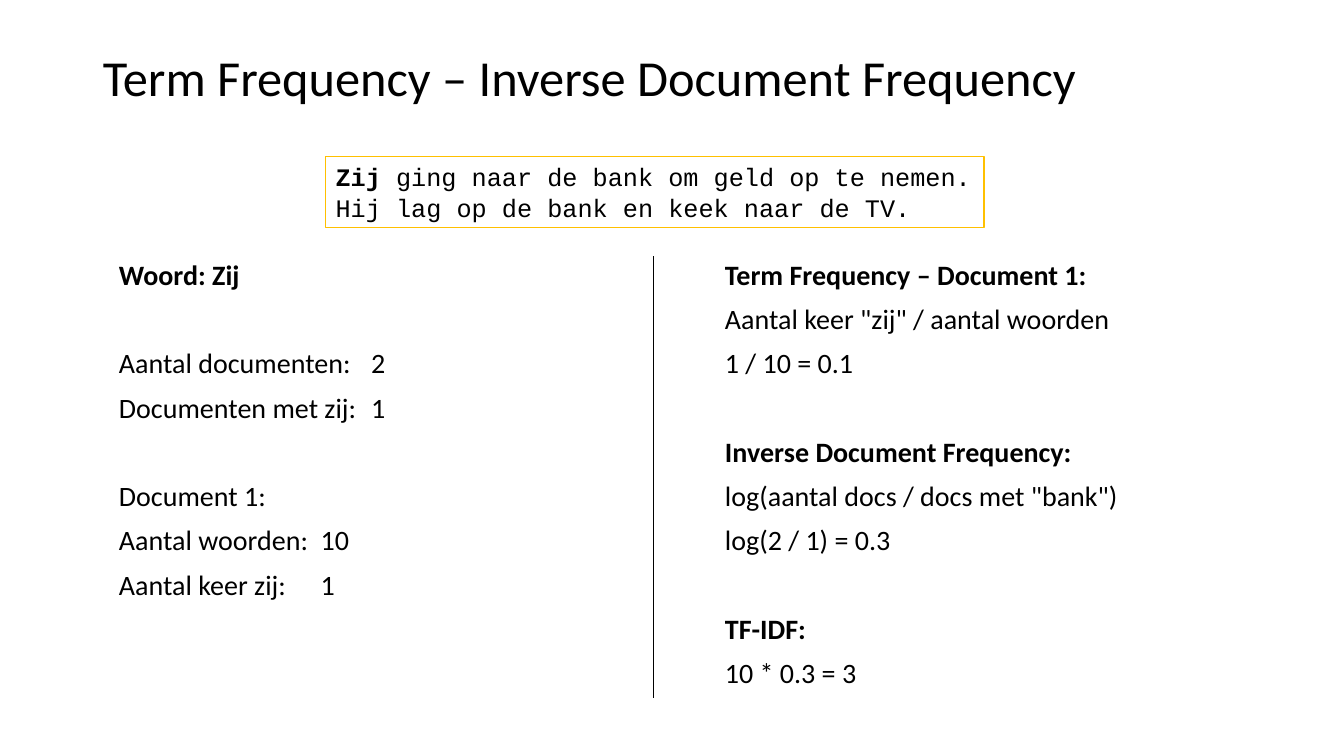
"""Build the slide that works out TF-IDF for one word in two short documents."""
from lxml.etree import SubElement
from pptx import Presentation
from pptx.dml.color import RGBColor
from pptx.enum.shapes import MSO_CONNECTOR, MSO_SHAPE
from pptx.enum.text import MSO_ANCHOR, MSO_AUTO_SIZE, PP_ALIGN
from pptx.oxml.ns import qn
from pptx.util import Inches, Pt

BLACK = RGBColor(0x00, 0x00, 0x00)
WHITE = RGBColor(0xFF, 0xFF, 0xFF)
AMBER = RGBColor(0xFF, 0xC0, 0x00)

LINE_GAP = 10
SECTION_GAP = 41.6
COLUMN_TOP, COLUMN_HEIGHT = 2.54, 4.39
NUMBER_TAB = 4.27

COUNTS = [
    ["Woord: Zij"],
    ["Aantal documenten:\t2", "Documenten met zij:\t1"],
    ["Document 1:", "Aantal woorden:\t10", "Aantal keer zij:\t1"],
]
FORMULAS = [
    ["Term Frequency – Document 1:", 'Aantal keer "zij" / aantal woorden', "1 / 10 = 0.1"],
    ["Inverse Document Frequency:", 'log(aantal docs / docs met "bank")', "log(2 / 1) = 0.3"],
    ["TF-IDF:", "10 * 0.3 = 3"],
]
HEADINGS = {"Woord: Zij"} | {section[0] for section in FORMULAS}
DOCUMENTS = [
    [("Zij ", True), ("ging naar de bank om geld op te nemen.", False)],
    [("Hij lag op de bank en keek naar de TV.", False)],
]


def add_run(paragraph, text, size, font_name="Calibri", bold=False):
    run = paragraph.add_run()
    run.text = text
    run.font.size = Pt(size)
    run.font.name = font_name
    run.font.bold = bold
    run.font.color.rgb = BLACK


def place(part, left, top, width, height):
    part.left, part.top = Inches(left), Inches(top)
    part.width, part.height = Inches(width), Inches(height)


prs = Presentation()
prs.slide_width, prs.slide_height = Inches(13.33), Inches(7.5)
slide = prs.slides.add_slide(prs.slide_layouts[3])
title, counts_column, formulas_column = slide.placeholders

place(title, 0.92, 0.4, 11.5, 0.79)
title.text_frame.vertical_anchor = MSO_ANCHOR.MIDDLE
heading = title.text_frame.paragraphs[0]
heading.alignment = PP_ALIGN.LEFT
heading.line_spacing = 0.9
add_run(heading, "Term Frequency – Inverse Document Frequency", 36)

for column, left, width, sections in (
    (counts_column, 1.08, 5.16, COUNTS),
    (formulas_column, 7.09, 5.58, FORMULAS),
):
    place(column, left, COLUMN_TOP, width, COLUMN_HEIGHT)
    frame = column.text_frame
    frame.auto_size = MSO_AUTO_SIZE.NONE
    for section_no, section in enumerate(sections):
        for line_no, text in enumerate(section):
            first = section_no == line_no == 0
            paragraph = frame.paragraphs[0] if first else frame.add_paragraph()
            props = paragraph._p.get_or_add_pPr()
            props.set("marL", "0")
            props.set("indent", "0")
            SubElement(props, qn("a:buNone"))
            if "\t" in text:
                tabs = SubElement(props, qn("a:tabLst"))
                SubElement(tabs, qn("a:tab"), pos=str(Inches(NUMBER_TAB)), algn="r")
            paragraph.line_spacing = 0.9
            paragraph.space_before = Pt(0 if first else LINE_GAP if line_no else SECTION_GAP)
            add_run(paragraph, text, 20, bold=text in HEADINGS)

divider = slide.shapes.add_connector(
    MSO_CONNECTOR.STRAIGHT, Inches(6.48), Inches(2.54), Inches(6.48), Inches(6.92)
)
divider.line.color.rgb = BLACK
divider.line.width = Pt(1)
SubElement(divider._element.spPr, qn("a:effectLst"))

documents_box = slide.shapes.add_shape(
    MSO_SHAPE.RECTANGLE, Inches(3.23), Inches(1.55), Inches(6.53), Inches(0.71)
)
documents_box.shadow.inherit = False
documents_box.fill.solid()
documents_box.fill.fore_color.rgb = WHITE
documents_box.line.color.rgb = AMBER
documents_box.line.width = Pt(1)
documents_frame = documents_box.text_frame
documents_frame.word_wrap = False
documents_frame.auto_size = MSO_AUTO_SIZE.SHAPE_TO_FIT_TEXT
for document_no, document in enumerate(DOCUMENTS):
    sentence = documents_frame.add_paragraph() if document_no else documents_frame.paragraphs[0]
    sentence.alignment = PP_ALIGN.LEFT
    for text, bold in document:
        add_run(sentence, text, 18, "Courier New", bold)

prs.save("out.pptx")
